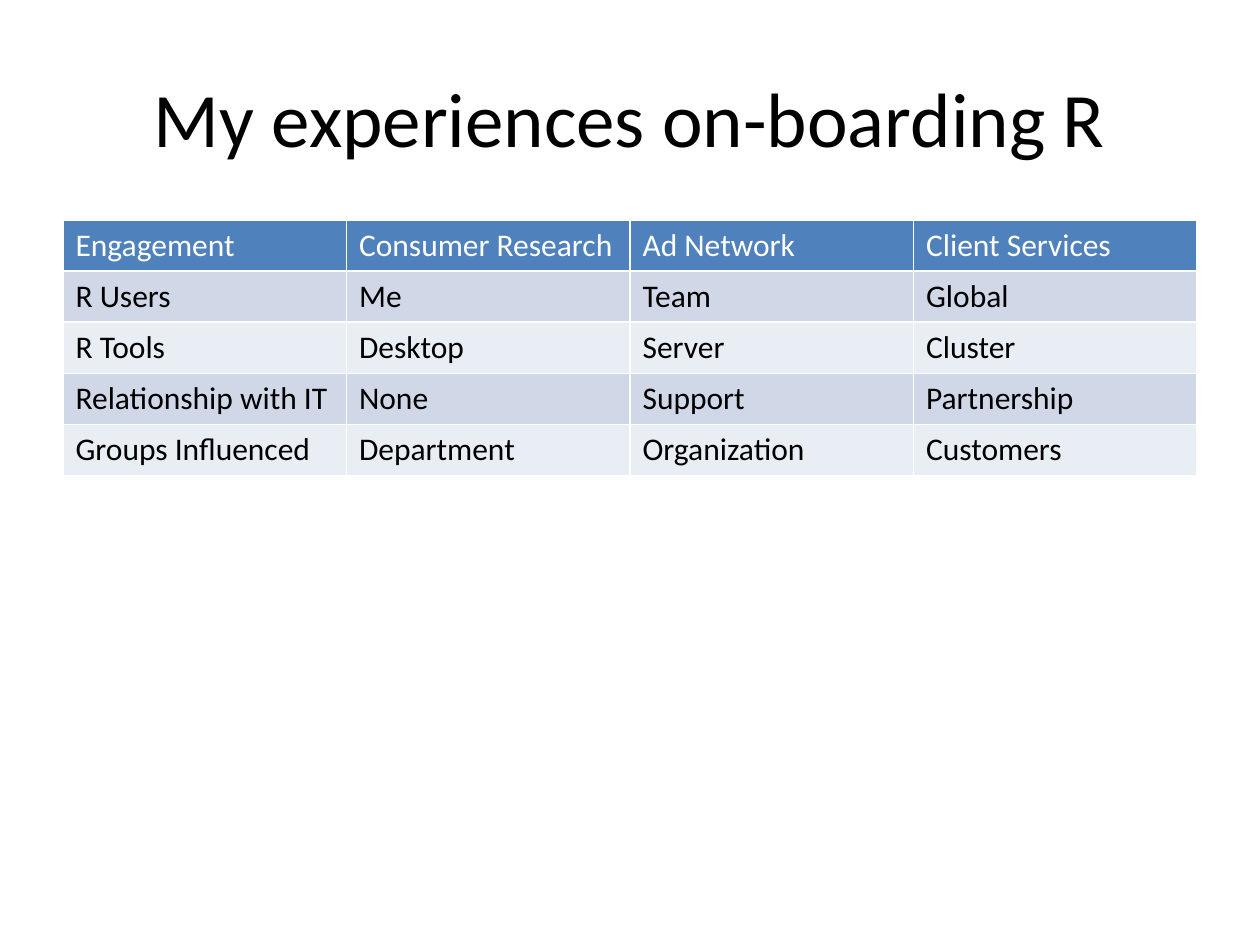
from lxml import etree
from pptx import Presentation
from pptx import util as u
from pptx.dml.color import RGBColor
from pptx.enum import text
from pptx.oxml.ns import qn

PX = 914400 / 126  # EMU per px
FONT = "Calibri"
HEADER, BANDS = "4F81BD", ("E9EDF4", "D0D8E8")
ROWS = [
    ("Engagement", "Consumer Research", "Ad Network", "Client Services"),
    ("R Users", "Me", "Team", "Global"),
    ("R Tools", "Desktop", "Server", "Cluster"),
    ("Relationship with IT", "None", "Support", "Partnership"),
    ("Groups Influenced", "Department", "Organization", "Customers"),
]


def px(n):
    return u.Emu(round(n * PX))


def rgb(color):
    return RGBColor.from_string(color)


def style(p, size, color):
    p.font.name, p.font.size, p.font.bold = FONT, u.Pt(size), False
    p.font.color.rgb = rgb(color)


def set_borders(cell, color, width):
    """Draw the same line on all four sides; call before setting the fill."""
    tc_pr = cell._tc.get_or_add_tcPr()
    for side in ("lnL", "lnR", "lnT", "lnB"):
        ln = etree.SubElement(tc_pr, qn(f"a:{side}"), w=str(u.Pt(width)))
        fill = etree.SubElement(ln, qn("a:solidFill"))
        etree.SubElement(fill, qn("a:srgbClr"), val=color)


def add_title(slide, title, x, y, w, h):
    sp = slide.shapes.title
    sp.left, sp.top, sp.width, sp.height = map(px, (x, y, w, h))
    tf = sp.text_frame
    tf.text = title
    tf.vertical_anchor = text.MSO_ANCHOR.MIDDLE
    p = tf.paragraphs[0]
    p.alignment = text.PP_ALIGN.CENTER
    style(p, 44, "000000")


def add_comparison(slide, rows, x, y, w, h):
    box = map(px, (x, y, w, h))
    table = slide.shapes.add_table(len(rows), len(rows[0]), *box).table
    for i, row in enumerate(rows):
        for j, value in enumerate(row):
            cell = table.cell(i, j)
            cell.text = value
            set_borders(cell, "FFFFFF", 1)
            cell.fill.solid()
            cell.fill.fore_color.rgb = rgb(BANDS[i % 2] if i else HEADER)
            style(cell.text_frame.paragraphs[0], 18, "000000" if i else "FFFFFF")


def main():
    prs = Presentation()
    prs.slide_width, prs.slide_height = px(1260), px(945)
    slide = prs.slides.add_slide(prs.slide_layouts[5])  # Title Only

    # Heading
    add_title(slide, "My experiences on-boarding R", 63, 38, 1134, 158)
    # Engagements compared side by side
    add_comparison(slide, ROWS, 63, 220, 1134, 255)

    prs.save("out.pptx")


if __name__ == "__main__":
    main()
